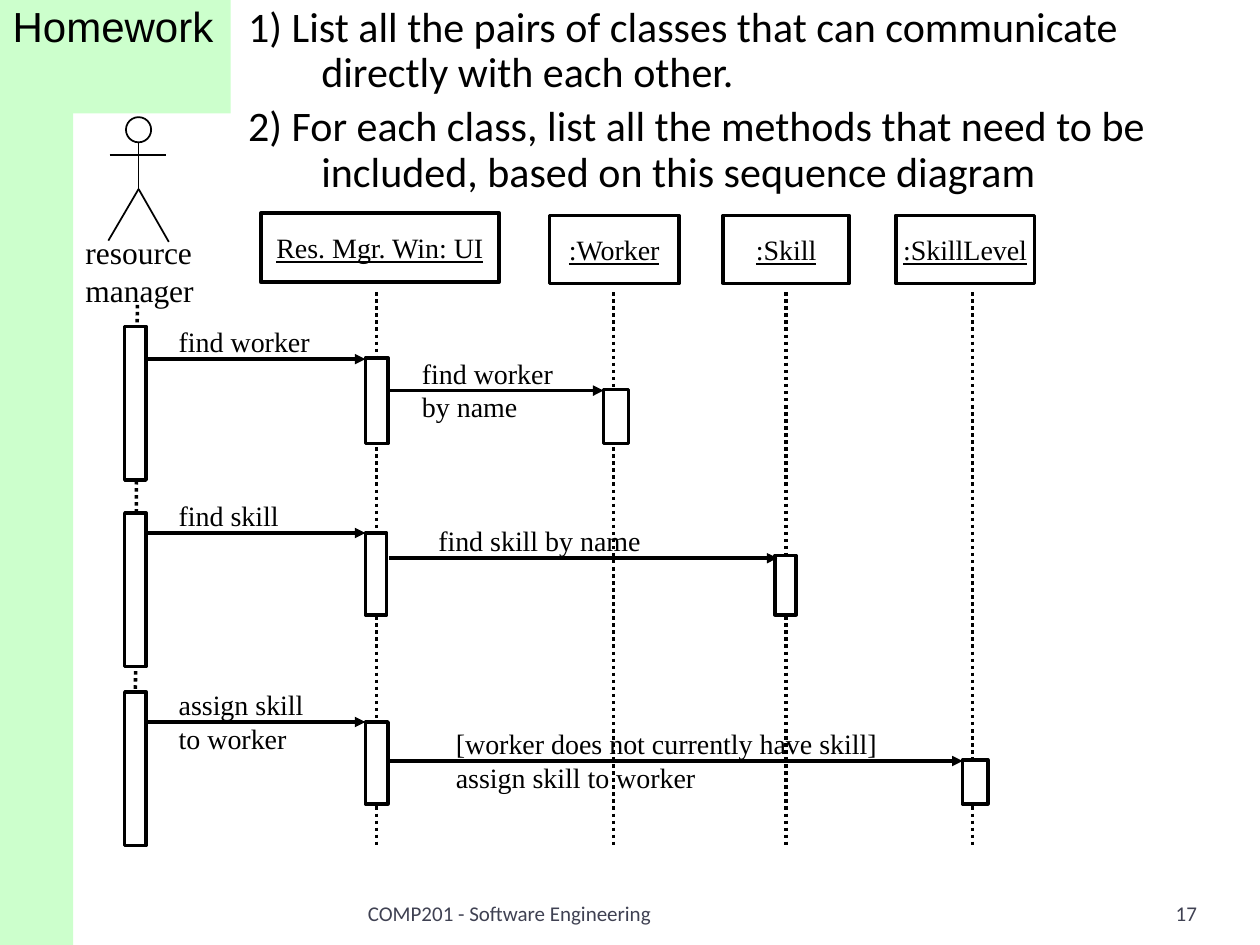
from copy import deepcopy

from lxml import etree
from pptx import Presentation
from pptx.dml.color import RGBColor
from pptx.enum.dml import MSO_LINE
from pptx.enum.shapes import MSO_CONNECTOR, MSO_SHAPE
from pptx.enum.text import MSO_ANCHOR as Anchor, MSO_AUTO_SIZE as AutoSize, PP_ALIGN as Align
from pptx.oxml.ns import qn
from pptx.util import Inches, Pt

BLACK = RGBColor(0x00, 0x00, 0x00)
WHITE = RGBColor(0xFF, 0xFF, 0xFF)
MINT = RGBColor(0xCC, 0xFF, 0xCC)
SLATE = RGBColor(0x3F, 0x41, 0x52)

HEADING = {"name": "Arial", "size": Pt(24)}
QUESTION = {"name": "Calibri", "size": Pt(24)}
FOOTER = {"name": "Calibri", "size": Pt(12)}
ACTOR = {"name": "Times New Roman", "size": Pt(18)}
LABEL = {"name": "Times New Roman", "size": Pt(16)}
CLASS_NAME = {**LABEL, "underline": True}

LIFELINE_TOP, LIFELINE_BOTTOM = 2.32, 6.72
ACTOR_BAR = (0.99, 0.17, 1.22)  # left, width, height
QUESTIONS = [
    "1) List all the pairs of classes that can communicate directly with each other.",
    "2) For each class, list all the methods that need to be included, "
    "based on this sequence diagram",
]
# Class name, box, lifeline x, activation bars
CLASSES = [
    ("Res. Mgr. Win: UI", (2.07, 1.69, 1.89, 0.55), 2.99,
     [(2.9, 2.84, 0.18, 0.68), (2.9, 4.23, 0.17, 0.65), (2.9, 5.73, 0.18, 0.65)]),
    (":Worker", (4.36, 1.71, 1.03, 0.54), 4.87, [(4.79, 3.09, 0.2, 0.43)]),
    (":Skill", (5.74, 1.71, 1, 0.54), 6.24, [(6.15, 4.41, 0.17, 0.47)]),
    (":SkillLevel", (7.11, 1.71, 1.1, 0.54), 7.72, [(7.64, 6.03, 0.2, 0.35)]),
]
# Text, arrow start x, end x, y, label left, width, height
MESSAGES = [
    ("find worker", 1.15, 2.9, 2.85, 1.32, 1.25, 0.37),
    ("find skill", 1.15, 2.9, 4.23, 1.32, 1, 0.37),
    ("assign skill\vto worker", 1.15, 2.9, 5.73, 1.32, 1.2, 0.64),
    ("find worker\vby name", 3.09, 4.79, 3.1, 3.25, 1.25, 0.64),
    ("find skill by name", 3.09, 6.17, 4.43, 3.38, 1.82, 0.37),
    ("[worker does not currently have skill]\vassign skill to worker",
     3.09, 7.64, 6.04, 3.52, 3.56, 0.64),
]


def set_all(target, values):
    for name, value in values.items():
        setattr(target, name, value)


def write(paragraph, text, font, color=BLACK):
    """Fill a paragraph; a vertical tab in the text is a line break."""
    paragraph.text = text
    for run in paragraph.runs:
        set_all(run.font, font)
        run.font.color.rgb = color
    for line_break in paragraph._p.findall(qn("a:br")):
        line_break.append(deepcopy(paragraph.runs[0]._r.rPr))


def add_text(slide, box, text, font, color=BLACK, align=Align.LEFT, **frame_format):
    frame = slide.shapes.add_textbox(*map(Inches, box)).text_frame
    set_all(frame, frame_format)
    write(frame.paragraphs[0], text, font, color)
    frame.paragraphs[0].alignment = align


def add_box(slide, box, kind=MSO_SHAPE.RECTANGLE, fill=WHITE, weight=2):
    shape = slide.shapes.add_shape(kind, *map(Inches, box))
    shape.shadow.inherit = False
    shape.fill.solid()
    shape.fill.fore_color.rgb = fill
    if weight:
        shape.line.color.rgb = BLACK
        shape.line.width = Pt(weight)
    else:
        shape.line.fill.background()
    return shape


def add_line(slide, start, end, weight=2, dash=None, arrow=False):
    line = slide.shapes.add_connector(MSO_CONNECTOR.STRAIGHT, *map(Inches, start + end))
    line.line.color.rgb = BLACK
    line.line.width = Pt(weight)
    if dash:
        line.line.dash_style = dash
    if arrow:
        etree.SubElement(line.line._get_or_add_ln(), qn("a:tailEnd"), type="triangle")
    etree.SubElement(line._element.spPr, qn("a:effectLst"))


def place(shape, box):
    shape.left, shape.top, shape.width, shape.height = map(Inches, box)
    set_all(shape.text_frame, {"word_wrap": True, "auto_size": AutoSize.NONE,
                               "vertical_anchor": Anchor.TOP})


def add_heading(slide, box):
    title = slide.shapes.title
    place(title, box)
    title.fill.solid()
    title.fill.fore_color.rgb = MINT
    paragraph = title.text_frame.paragraphs[0]
    write(paragraph, "Homework", HEADING)
    set_all(paragraph, {"alignment": Align.LEFT, "line_spacing": 0.9, "space_before": Pt(0)})


def add_questions(slide, box):
    body = slide.placeholders[1]
    place(body, box)
    frame = body.text_frame
    for index, question in enumerate(QUESTIONS):
        paragraph = frame.add_paragraph() if index else frame.paragraphs[0]
        properties = paragraph._p.get_or_add_pPr()
        properties.set("marL", str(Inches(0.58)))
        properties.set("indent", str(-Inches(0.58)))
        etree.SubElement(properties, qn("a:buNone"))
        set_all(paragraph, {"line_spacing": 0.9, "space_before": Pt(4.8 if index else 0)})
        write(paragraph, question, QUESTION)


def add_actor(slide, left, top):
    """Stick figure with its name, lifeline and activation bars."""
    center, hip = left + 0.24, top + 0.57
    add_box(slide, (center - 0.1, top, 0.2, 0.2), MSO_SHAPE.OVAL, weight=1)
    limbs = [
        ((center, top + 0.2), (center, hip)),
        ((center, hip), (left, top + 0.98)),
        ((center, hip), (left + 0.48, top + 0.99)),
        ((left + 0.01, top + 0.3), (left + 0.46, top + 0.3)),
    ]
    for start, end in limbs:
        add_line(slide, start, end, weight=1)
    add_text(slide, (left - 0.28, top + 0.87, 1.06, 0.7), "resource\vmanager", ACTOR,
             word_wrap=False, auto_size=AutoSize.SHAPE_TO_FIT_TEXT)
    add_line(slide, (1.09, 2.42), (1.07, 6.57), dash=MSO_LINE.ROUND_DOT)
    bar_left, width, height = ACTOR_BAR
    for bar_top in (2.59, 4.07, 5.49):
        add_box(slide, (bar_left, bar_top, width, height))


def add_class(slide, name, box, lifeline, bars):
    frame = add_box(slide, box).text_frame
    set_all(frame, {"word_wrap": False, "vertical_anchor": Anchor.MIDDLE})
    write(frame.paragraphs[0], name, CLASS_NAME)
    frame.paragraphs[0].alignment = Align.CENTER
    add_line(slide, (lifeline, LIFELINE_TOP), (lifeline, LIFELINE_BOTTOM),
             dash=MSO_LINE.ROUND_DOT)
    for bar in bars:
        add_box(slide, bar)


def add_message(slide, text, start, end, y, left, width, height):
    add_line(slide, (start, y), (end, y), arrow=True)
    add_text(slide, (left, y - 0.32, width, height), text, LABEL,
             word_wrap=False, auto_size=AutoSize.SHAPE_TO_FIT_TEXT)


def add_footer(slide, top, height):
    no_margins = {f"margin_{side}": 0 for side in ("left", "top", "right", "bottom")}
    for left, width, text, align in (
        (2.92, 3.67, "COMP201 - Software Engineering", Align.LEFT),
        (8.67, 0.83, "17", Align.RIGHT),
    ):
        add_text(slide, (left, top, width, height), text, FOOTER, SLATE, align,
                 word_wrap=True, vertical_anchor=Anchor.BOTTOM, **no_margins)


def main():
    presentation = Presentation()
    presentation.slide_width, presentation.slide_height = Inches(10), Inches(7.5)
    slide = presentation.slides.add_slide(presentation.slide_layouts[1])

    # Heading, side band and questions
    add_heading(slide, (0, 0, 1.83, 0.9))
    add_box(slide, (0, 0.75, 0.58, 6.75), fill=MINT, weight=0)
    add_questions(slide, (1.87, 0, 8.13, 1.56))

    # Sequence diagram
    add_actor(slide, 0.86, 0.93)
    for class_parts in CLASSES:
        add_class(slide, *class_parts)
    for message in MESSAGES:
        add_message(slide, *message)

    add_footer(slide, 6.95, 0.4)
    presentation.save("out.pptx")


if __name__ == "__main__":
    main()
